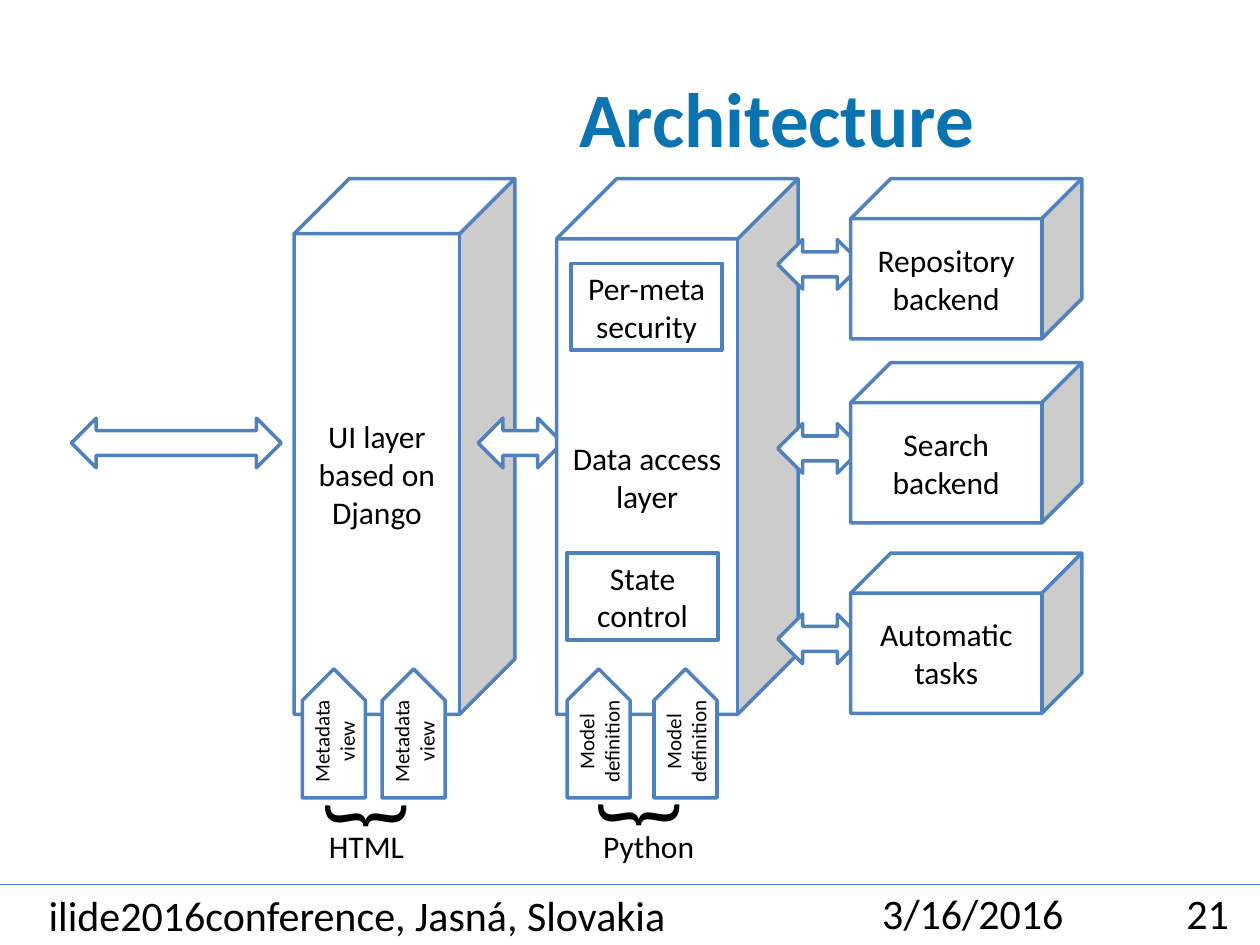
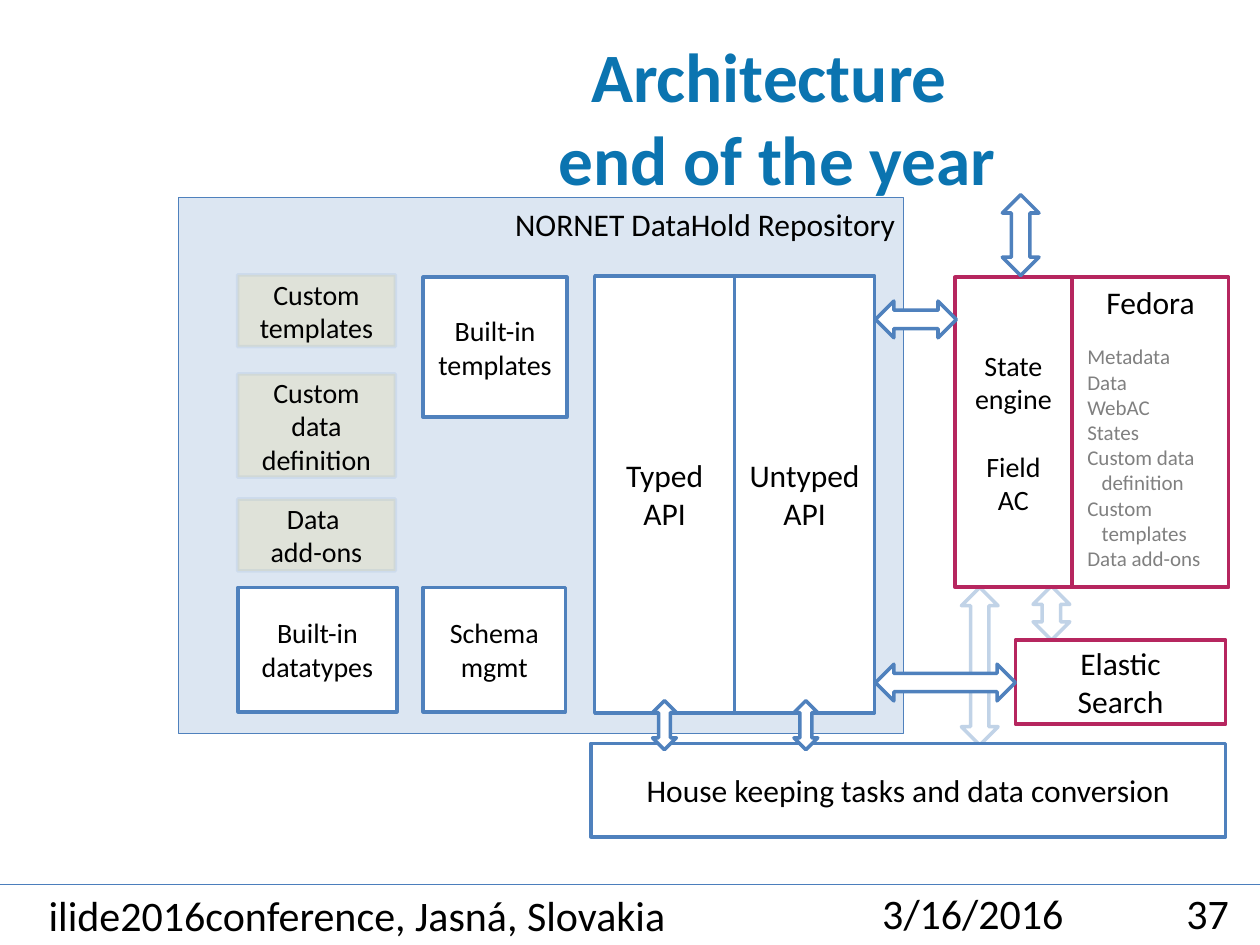
"""Build the two architecture slides of a repository talk."""
import lxml.etree
import pptx
import pptx.dml.color
import pptx.enum.shapes
import pptx.enum.text
import pptx.oxml.ns
import pptx.util

Cm = pptx.util.Cm
Pt = pptx.util.Pt
qn = pptx.oxml.ns.qn
KIND = pptx.enum.shapes.MSO_SHAPE
ALIGN = pptx.enum.text.PP_ALIGN
ANCHOR = pptx.enum.text.MSO_ANCHOR

BLUE, CRIMSON, WHITE, BLACK = "4F81BD", "B6265F", "FFFFFF", "000000"
TITLE_BLUE, RULE_BLUE, PALE_BLUE = "0B74B0", "4B7EBC", "DCE6F2"
AMBER, GREY = "FFC000", "808080"


def paint(fill, colour, opacity=100):
    fill.solid()
    fill.fore_color.rgb = pptx.dml.color.RGBColor.from_string(colour)
    if opacity < 100:
        tint = fill._xPr.find(".//" + qn("a:srgbClr"))
        lxml.etree.SubElement(tint, qn("a:alpha"), val=str(opacity * 1000))


def write(shape, text, size=18, colour=BLACK, bold=False, align=ALIGN.CENTER,
          anchor=ANCHOR.MIDDLE, wrap=True, gap=0, hanging=0):
    frame = shape.text_frame
    frame.text = text
    frame.word_wrap = wrap
    frame.auto_size = pptx.enum.text.MSO_AUTO_SIZE.NONE
    frame.vertical_anchor = anchor
    for index, paragraph in enumerate(frame.paragraphs):
        paragraph.alignment = align
        if index and gap:
            paragraph.space_before = Pt(gap)
        if hanging:
            properties = paragraph._p.get_or_add_pPr()
            properties.set("marL", str(Cm(hanging)))
            properties.set("indent", str(-Cm(hanging)))
        for run in paragraph.runs:
            run.font.name = "Calibri"
            run.font.size = Pt(size)
            run.font.bold = bold
            paint(run.font.fill, colour)


ARROW, BOX, CUBE, TAB = KIND.LEFT_RIGHT_ARROW, KIND.RECTANGLE, KIND.CUBE, KIND.PENTAGON
LABEL = None
plain = {"turn": 0, "fill": WHITE, "line": BLUE, "width": 2,
         "fill_opacity": 100, "line_opacity": 100, "words": {}}
upright = {"turn": 90}
faded = {"turn": 90, "line_opacity": 34}
crimson = {"line": CRIMSON}
small = {"words": {"size": 16}}
custom = {"fill": AMBER, "fill_opacity": 10, "line_opacity": 10, **small}
caption = {"words": {"align": ALIGN.LEFT, "anchor": ANCHOR.TOP, "wrap": False}}
brace = {"turn": 90, "words": {"size": 54, "anchor": ANCHOR.TOP}}

current = [
    (CUBE, (5.93, 3.6, 4.45, 10.8), "UI layer based on Django", {}),
    (ARROW, (1.44, 8.43, 4.23, 1), "", {}),
    (ARROW, (9.64, 8.43, 1.7, 1), "", {}),
    (CUBE, (11.22, 3.6, 4.87, 10.8), "Data access layer", {}),
    (BOX, (11.51, 5.31, 3.05, 1.75), "Per-meta\vsecurity", {}),
    (BOX, (11.43, 11.15, 3.05, 1.75), "State\vcontrol", {}),
    (LABEL, (6.38, 16.54, 2.06, 1.02), "HTML", caption),
    (LABEL, (11.91, 16.54, 2.36, 1.02), "Python", caption),
    (LABEL, (6.86, 15.16, 1.42, 2.57), "}", brace),
    (LABEL, (12.37, 15.14, 1.42, 2.57), "}", brace),
]
for top, backend in ((3.6, "Repository backend"), (7.31, "Search backend"),
                     (11.15, "Automatic\ntasks")):
    current.append((ARROW, (15.68, top + 1.23, 1.7, 1), "", {}))
    current.append((CUBE, (17.15, top, 4.66, 3.23), backend, {}))
for left, step, plugin in ((5.43, 1.61, "Metadata view"), (10.77, 1.75, "Model definition")):
    for column in range(2):
        current.append((TAB, (left + column * step, 14.15, 2.6, 1.27), plugin,
                        {"turn": 270, "words": {"size": 12}}))

fedora_contents = ("Metadata\nData\nWebAC\nStates\nCustom data\vdefinition\n"
                   "Custom \vtemplates\nData add-ons")
planned = [
    (ARROW, (20.65, 11.99, 1.09, 0.74), "", faded),
    (ARROW, (18.16, 13.06, 3.18, 0.74), "", faded),
    (BOX, (3.6, 3.98, 14.61, 10.8), "", {"fill": PALE_BLUE, "width": 0.5}),
    (LABEL, (8.3, 4.01, 10, 1.02), "NORNET DataHold Repository",
     {"words": {"align": ALIGN.RIGHT, "anchor": ANCHOR.TOP}}),
    (BOX, (21.62, 5.59, 3.15, 6.25), "Fedora", {**crimson, "words": {"anchor": ANCHOR.TOP}}),
    (BOX, (19.25, 5.59, 2.36, 6.25), "State engine\nField\vAC",
     {**crimson, "words": {"size": 16, "gap": 19.5}}),
    (LABEL, (21.67, 6.81, 2.82, 4.88), fedora_contents,
     {"words": {**caption["words"], "size": 12, "colour": GREY, "hanging": 0.29}}),
    (BOX, (20.47, 12.9, 4.24, 1.7), "Elastic\vSearch", crimson),
    (BOX, (11.99, 5.56, 2.82, 8.81), "Typed API", {}),
    (BOX, (14.81, 5.56, 2.82, 8.81), "Untyped API", {}),
    (BOX, (8.53, 5.59, 2.9, 2.82), "Built-in templates", small),
    (BOX, (4.8, 11.84, 3.2, 2.51), "Built-in datatypes", small),
    (BOX, (8.53, 11.84, 2.87, 2.51), "Schema mgmt", small),
    (BOX, (11.91, 14.99, 12.8, 1.88), "House keeping tasks and data conversion", {}),
    (BOX, (4.79, 5.54, 3.18, 1.45), "Custom templates", custom),
    (BOX, (4.79, 7.54, 3.18, 2.08), "Custom data definition", custom),
    (BOX, (4.79, 10.06, 3.18, 1.45), "Data \vadd-ons", custom),
    (ARROW, (17.65, 6.07, 1.63, 0.74), "", {}),
    (ARROW, (17.65, 13.39, 2.82, 0.74), "", {}),
    (ARROW, (12.9, 14.38, 0.99, 0.48), "", upright),
    (ARROW, (15.75, 14.38, 0.99, 0.48), "", upright),
    (ARROW, (19.76, 4.37, 1.63, 0.74), "", upright),
]

deck = pptx.Presentation()
deck.slide_width, deck.slide_height = Cm(25.4), Cm(19.05)

for heading, heading_size, number, diagram in (
        ("Architecture", 44, "21", current),
        ("Architecture \vend of the year", 39.6, "37", planned)):
    slide = deck.slides.add_slide(deck.slide_layouts[5])
    title = slide.shapes.title
    title.left, title.top, title.width, title.height = Cm(7.2), Cm(0.76), Cm(16.93), Cm(3.18)
    write(title, heading, size=heading_size, colour=TITLE_BLUE, bold=True)

    for left, top, width, footer in ((17.2, 17.78, 4.83, "3/16/2016"),
                                     (23.29, 17.78, 2.11, number),
                                     (0, 17.83, 14.4, "ilide2016conference, Jasná, Slovakia")):
        write(slide.shapes.add_textbox(Cm(left), Cm(top), Cm(width), Cm(1.22)), footer, size=24)
    rule = slide.shapes.add_connector(pptx.enum.shapes.MSO_CONNECTOR.STRAIGHT,
                                      Cm(0), Cm(17.83), Cm(25.4), Cm(17.83))
    paint(rule.line.fill, RULE_BLUE)
    rule.line.width = Pt(1)
    lxml.etree.SubElement(rule._element.spPr, qn("a:effectLst"))

    for kind, place, text, changes in diagram:
        look = {**plain, **changes}
        frame = [Cm(length) for length in place]
        if kind is LABEL:
            part = slide.shapes.add_textbox(*frame)
        else:
            part = slide.shapes.add_shape(kind, *frame)
            part.shadow.inherit = False
            paint(part.fill, look["fill"], look["fill_opacity"])
            paint(part.line.fill, look["line"], look["line_opacity"])
            part.line.width = Pt(look["width"])
        part.rotation = look["turn"]
        if text:
            write(part, text, **look["words"])

deck.save("out.pptx")
